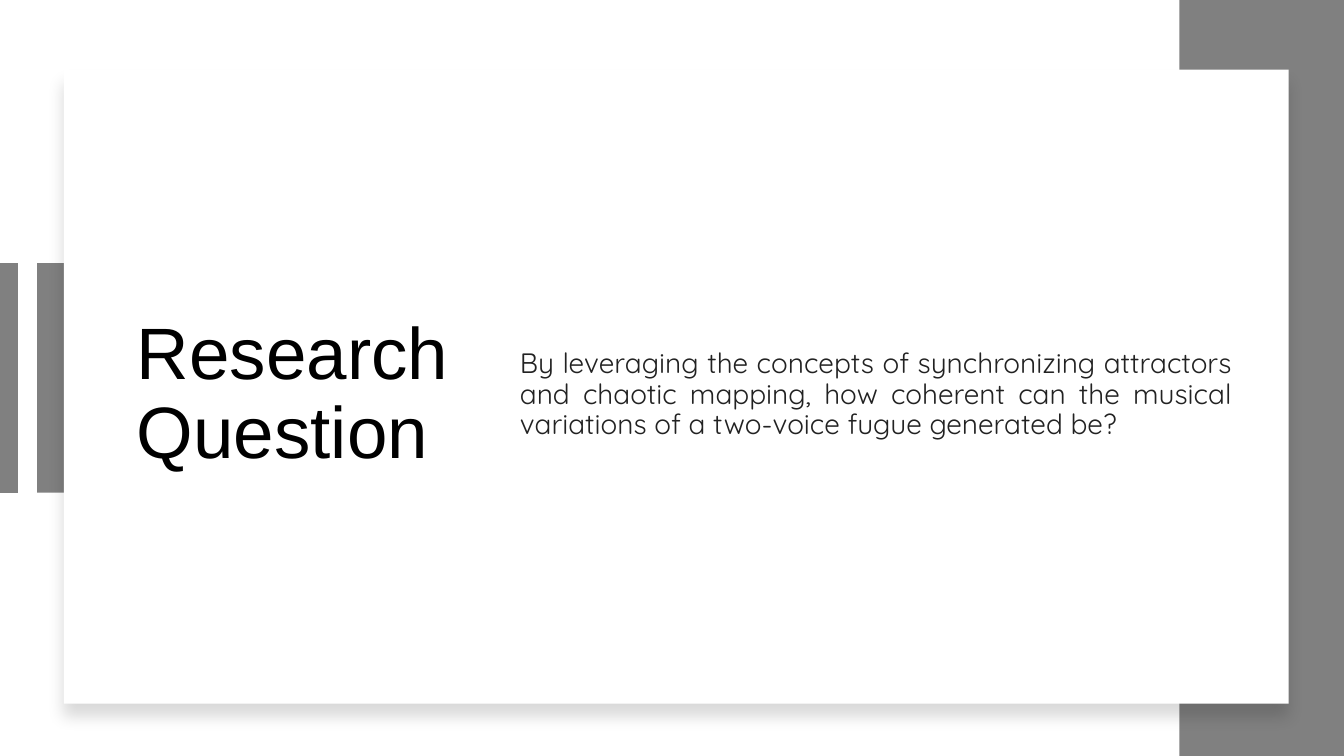
from lxml import etree
from pptx import Presentation
from pptx.dml.color import RGBColor
from pptx.enum import shapes, text
from pptx.oxml import ns, parse_xml
from pptx.util import Pt

COLORS = {"gray": "808080", "white": "FFFFFF", "title": "000000", "body": "222222"}

prs = Presentation()
prs.slide_width, prs.slide_height = Pt(960), Pt(540)
s = prs.slides.add_slide(prs.slide_layouts[6])

# Side bars and the card in front of them
bar_top, bar_height = 188, 164
edge = s.shapes.add_connector(shapes.MSO_CONNECTOR.STRAIGHT,
                              Pt(6), Pt(bar_top), Pt(6), Pt(bar_top + bar_height))
edge.line.color.rgb = RGBColor.from_string(COLORS["gray"])
edge.line.width = Pt(14)
etree.SubElement(edge._element.spPr, ns.qn("a:effectLst"))

panels = [
    ("gray", 26.6, bar_top, 24.5, bar_height),
    ("gray", 842.4, 0, 117.6, 540),
    ("white", 45.6, 49.7, 874.8, 452.9),
]
for color, left, top, width, height in panels:
    sp = s.shapes.add_shape(shapes.MSO_SHAPE.RECTANGLE,
                            Pt(left), Pt(top), Pt(width), Pt(height))
    sp.fill.solid()
    sp.fill.fore_color.rgb = RGBColor.from_string(COLORS[color])
    sp.line.fill.background()
    sp.shadow.inherit = False

card = sp
effects = card._element.spPr.find(ns.qn("a:effectLst"))
effects.append(parse_xml(
    f'<a:outerShdw {ns.nsdecls("a")} blurRad="{Pt(11)}" dist="{Pt(10)}" dir="5400000" '
    'algn="t" rotWithShape="0"><a:srgbClr val="000000"><a:alpha val="15000"/>'
    '</a:srgbClr></a:outerShdw>'))

# Title and question, side by side
texts = [
    ("title", "Research Question", 90.7, 315.4, "Arial", 52, text.PP_ALIGN.LEFT),
    ("body", "By leveraging the concepts of synchronizing attractors and chaotic mapping, "
     "how coherent can the musical variations of a two-voice fugue generated be?",
     364.3, 522.7, "Quicksand", 20, text.PP_ALIGN.JUSTIFY),
]
for color, words, left, width, font, size, align in texts:
    tf = s.shapes.add_textbox(Pt(left), Pt(97.9), Pt(width), Pt(368.6)).text_frame
    tf.word_wrap = True
    tf.vertical_anchor = text.MSO_ANCHOR.MIDDLE
    tf.text = words
    p = tf.paragraphs[0]
    p.alignment = align
    p.line_spacing = 0.9
    r = p.runs[0]
    r.font.name = font
    r.font.size = Pt(size)
    r.font.color.rgb = RGBColor.from_string(COLORS[color])

prs.save("out.pptx")
